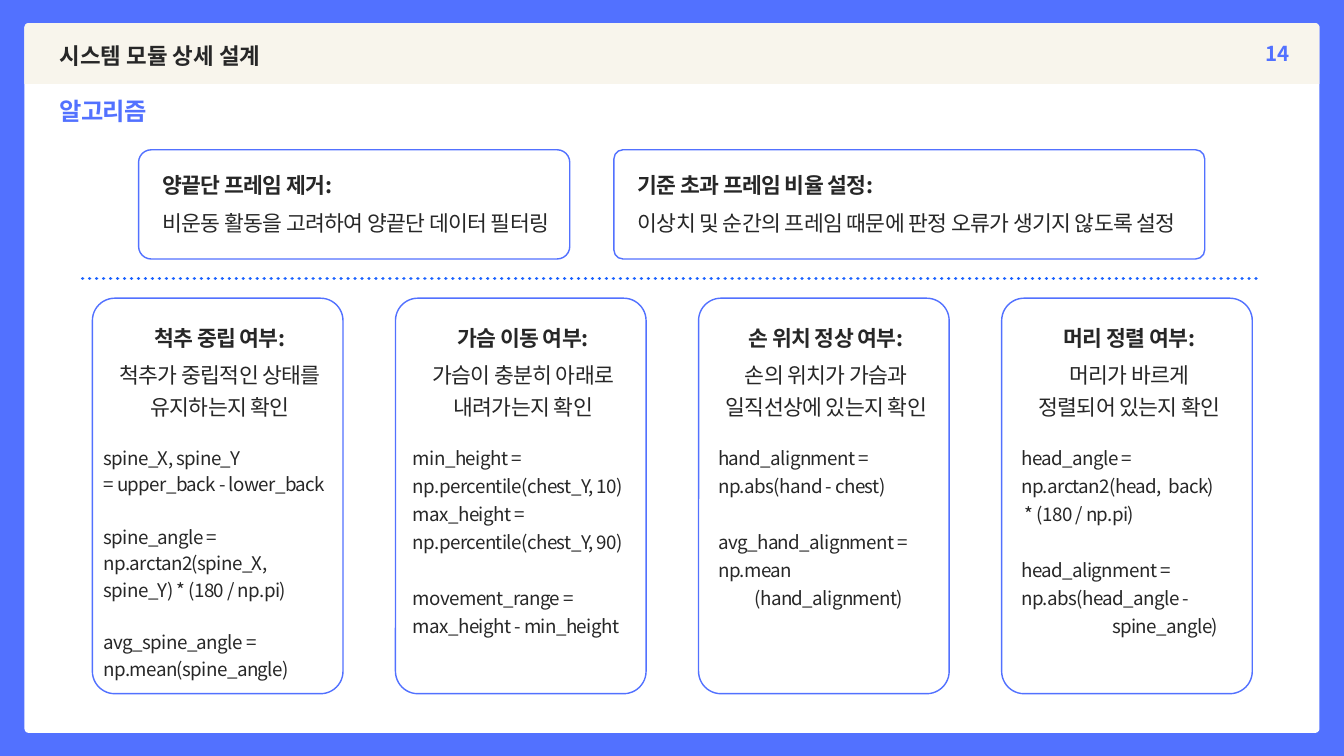
import pptx
import pptx.dml.color
import pptx.enum.dml
import pptx.enum.shapes
import pptx.enum.text
import pptx.oxml
import pptx.oxml.ns
import pptx.util

RGBColor = pptx.dml.color.RGBColor
Pt = pptx.util.Pt
Shape = pptx.enum.shapes.MSO_SHAPE
Align = pptx.enum.text.PP_ALIGN

PX = 9525
FONT = "Noto Sans CJK KR"
BLUE = RGBColor(0x52, 0x71, 0xFF)
DOT_BLUE = RGBColor(0x1A, 0x62, 0xFF)
CREAM = RGBColor(0xF8, 0xF5, 0xEC)
WHITE = RGBColor(0xFF, 0xFF, 0xFF)
INK = RGBColor(0x27, 0x27, 0x27)

FRAME = {
    "margin_left": 0, "margin_top": 0, "margin_right": 0, "margin_bottom": 0,
    "word_wrap": True,
    "auto_size": pptx.enum.text.MSO_AUTO_SIZE.NONE,
    "vertical_anchor": pptx.enum.text.MSO_ANCHOR.TOP,
}


def text_style(size, leading, color=INK, bold=False, tracking=0, align=Align.LEFT):
    return {
        "para": {"alignment": align, "line_spacing": Pt(leading)},
        "font": {"size": Pt(size), "bold": bold, "name": FONT},
        "color": color,
        "tracking": tracking,
    }


TITLE = text_style(24, 31.7, bold=True)
NUMBER = text_style(22, 29, BLUE, True, align=Align.RIGHT)
SECTION = text_style(26, 36.4, BLUE, True, -80)
NOTE_HEAD = text_style(23.1, 34.6, bold=True, tracking=-70)
NOTE_BODY = text_style(23.1, 34.6, tracking=-70)
CARD_HEAD = text_style(23.1, 34.6, bold=True, tracking=-70, align=Align.CENTER)
CARD_BODY = text_style(23.1, 34.6, tracking=-70, align=Align.CENTER)
CODE = text_style(20.1, 30.1, tracking=-60)
TIGHT_CODE = text_style(20.1, 28.3, tracking=-60)

NOTES = [
    ((198, 214, 616, 156), 18, "양끝단 프레임 제거:",
     "비운동 활동을 고려하여 양끝단 데이터 필터링"),
    ((877, 214, 844, 156), 13, "기준 초과 프레임 비율 설정:",
     "이상치 및 순간의 프레임 때문에 판정 오류가 생기지 않도록 설정"),
]

CARDS = [
    ("척추 중립 여부:", ["척추가 중립적인 상태를", "유지하는지 확인"],
     (16, 206, 332), TIGHT_CODE,
     [["spine_X, spine_Y", "= upper_back - lower_back"],
      ["spine_angle =", "np.arctan2(spine_X, spine_Y) * (180 / np.pi)"],
      ["avg_spine_angle =", "np.mean(spine_angle)"]]),
    ("가슴 이동 여부:", ["가슴이 충분히 아래로", "내려가는지 확인"],
     (25, 204, 307), CODE,
     [["min_height =", "np.percentile(chest_Y, 10)",
       "max_height =", "np.percentile(chest_Y, 90)"],
      ["movement_range =", "max_height - min_height"]]),
    ("손 위치 정상 여부:", ["손의 위치가 가슴과", "일직선상에 있는지 확인"],
     (28, 204, 307), CODE,
     [["hand_alignment =", "np.abs(hand - chest)"],
      ["avg_hand_alignment =", "np.mean", "          (hand_alignment)"]]),
    ("머리 정렬 여부:", ["머리가 바르게", "정렬되어 있는지 확인"],
     (28, 204, 307), CODE,
     [["head_angle =", "np.arctan2(head,  back)", " * (180 / np.pi)"],
      ["head_alignment =", "np.abs(head_angle -",
       "                         spine_angle)"]]),
]


def scaled(*lengths):
    return [length * PX for length in lengths]


def apply(target, values):
    for name, value in values.items():
        setattr(target, name, value)


def fill_text(frame, blocks, style):
    apply(frame, FRAME)
    para = None
    for block in blocks:
        for index, line in enumerate(block):
            starts_block = para is not None and index == 0
            para = frame.paragraphs[0] if para is None else frame.add_paragraph()
            apply(para, style["para"])
            if starts_block:
                para.space_before = style["para"]["line_spacing"]
            span = para.add_run()
            span.text = line
            apply(span.font, style["font"])
            span.font.color.rgb = style["color"]
            props = span.font._element
            props.set("spc", str(style["tracking"]))
            east = pptx.oxml.ns.qn("a:ea")
            props.append(props.makeelement(east, {"typeface": FONT}))


def add_text(page, box, blocks, style):
    label = page.shapes.add_textbox(*scaled(*box))
    fill_text(label.text_frame, blocks, style)


def add_panel(page, kind, box, radius, fill=None, line=None):
    panel = page.shapes.add_shape(kind, *scaled(*box))
    panel.shadow.inherit = False
    panel.adjustments[0] = radius / min(box[2:])
    if fill is None:
        panel.fill.background()
    else:
        panel.fill.solid()
        panel.fill.fore_color.rgb = fill
    if line is None:
        panel.line.fill.background()
    else:
        panel.line.color.rgb = line
        panel.line.width = Pt(1.5)
    return panel


def add_header(page, box):
    left, top, width, height = box
    band = add_panel(page, Shape.ROUND_2_SAME_RECTANGLE, box, 6, CREAM)
    title = page.shapes.title
    title.left, title.top, title.width, title.height = scaled(left + 50, top + 23, 668, 42)
    fill_text(title.text_frame, [["시스템 모듈 상세 설계"]], TITLE)
    band.element.addnext(title.element)
    add_text(page, (left + width - 446, top + 22, 403, 39), [["14"]], NUMBER)


def add_note(page, box, radius, heading, body):
    left, top, width, height = box
    add_panel(page, Shape.ROUNDED_RECTANGLE, box, radius, line=BLUE)
    add_text(page, (left + 34, top + 22, width - 68, 46), [[heading]], NOTE_HEAD)
    add_text(page, (left + 34, top + 77, width - 34, 46), [[body]], NOTE_BODY)


def add_card(page, box, heading, body, code_box, code_style, code):
    left, top, width, height = box
    code_left, code_top, code_width = code_box
    add_panel(page, Shape.ROUNDED_RECTANGLE, box, 32, line=BLUE)
    add_text(page, (left + 21, top + 29, 323, 46), [[heading]], CARD_HEAD)
    add_text(page, (left + 21, top + 82, 323, 92), [body], CARD_BODY)
    add_text(page, (left + code_left, top + code_top, code_width, height - code_top - 20),
             code, code_style)


def add_divider(page, left, right, top):
    divider = page.shapes.add_connector(
        pptx.enum.shapes.MSO_CONNECTOR.STRAIGHT, *scaled(left, top, right, top))
    divider.line.color.rgb = DOT_BLUE
    divider.line.width = Pt(3.75)
    divider.line.dash_style = pptx.enum.dml.MSO_LINE.ROUND_DOT
    props = divider.element.spPr
    props.find(pptx.oxml.ns.qn("a:ln")).set("cap", "rnd")
    props.append(props.makeelement(pptx.oxml.ns.qn("a:effectLst"), {}))


def main():
    deck = pptx.Presentation()
    deck.slide_width, deck.slide_height = scaled(1920, 1080)
    page = deck.slides.add_slide(deck.slide_layouts[5])
    page.background.fill.solid()
    page.background.fill.fore_color.rgb = BLUE

    add_panel(page, Shape.ROUNDED_RECTANGLE, (35, 33, 1850, 1014), 6, WHITE)
    add_header(page, (35, 33, 1850, 87))
    add_text(page, (85, 130, 218, 48), [["알고리즘"]], SECTION)
    for note in NOTES:
        add_note(page, *note)
    add_divider(page, 118, 1802, 398)
    for index, card in enumerate(CARDS):
        add_card(page, (132 + 433 * index, 426, 358, 565), *card)
    deck.save("out.pptx")


if __name__ == "__main__":
    main()
